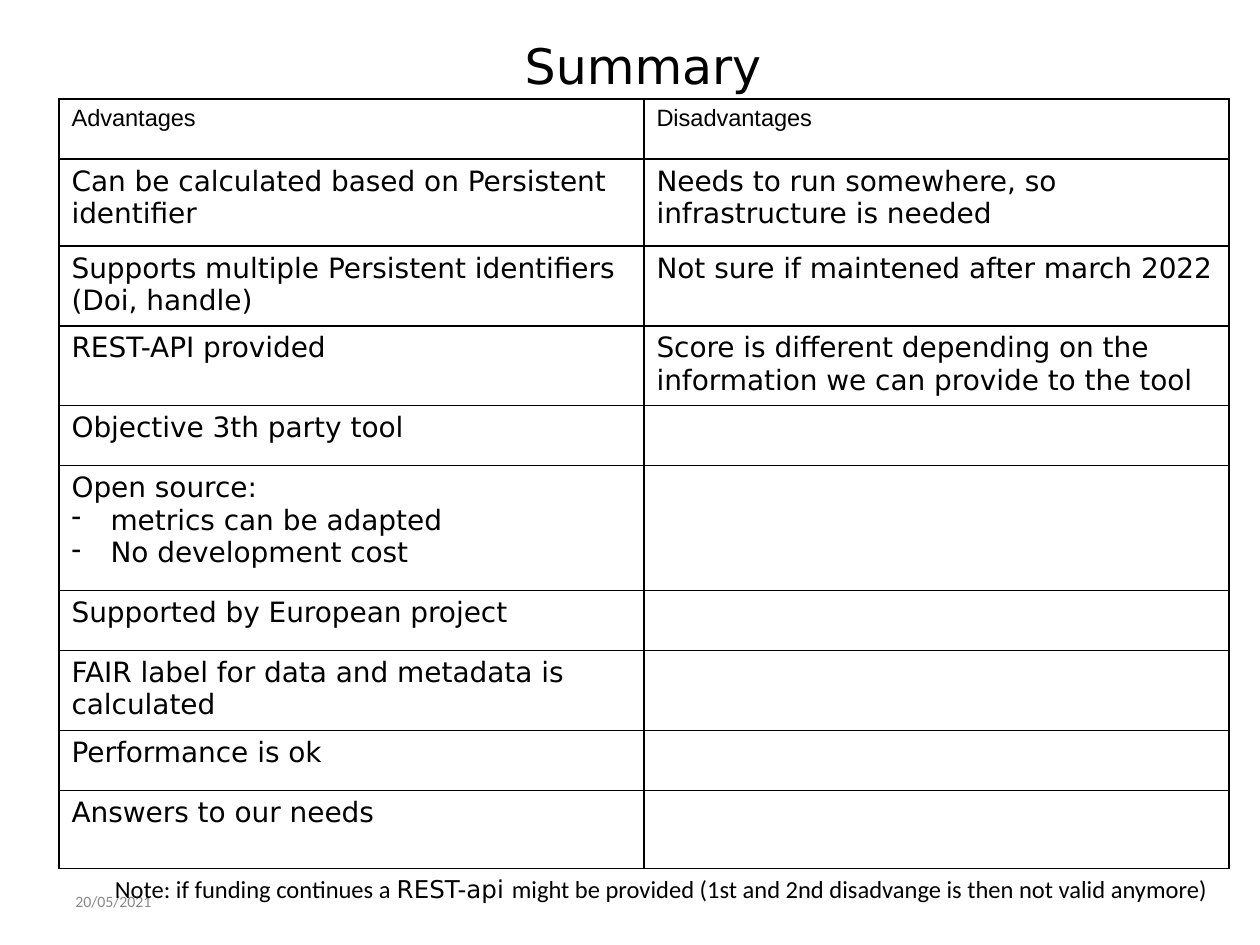
from lxml.etree import SubElement
from pptx import Presentation
from pptx.dml.color import RGBColor
from pptx.enum.text import MSO_ANCHOR as Anchor, PP_ALIGN as Align
from pptx.oxml.ns import qn
from pptx.util import Pt

PX = 914400 / 126
BLACK = RGBColor(0x00, 0x00, 0x00)
GREY = RGBColor(0x89, 0x89, 0x89)
SANS = "DejaVu Sans"


def px(length):
    return round(length * PX)


def add_span(para, text, font, size, color=BLACK):
    span = para.add_run()
    span.text = text
    span.font.color.rgb = color
    for name, value in {"name": font, "size": Pt(size)}.items():
        setattr(span.font, name, value)


deck = Presentation()
deck.slide_width, deck.slide_height = px(1260), px(945)
page = deck.slides.add_slide(deck.slide_layouts[6])

# Title, date and footnote
NOTE = [
    ("Note: if funding continues a ", "Calibri", 14),
    ("REST-api ", SANS, 14),
    ("might be provided (1st and 2nd disadvange is then not valid anymore)", "Calibri", 14),
]
MIDDLE = {"word_wrap": True, "vertical_anchor": Anchor.MIDDLE}
FLUSH = {"word_wrap": True, "margin_left": 0, "margin_right": 0, "margin_top": 0}
TEXTS = [
    ((89, 38, 1108, 54), MIDDLE, {"alignment": Align.CENTER}, [("Summary", SANS, 28)]),
    ((63, 876, 294, 50), MIDDLE, {}, [("20/05/2021", "Calibri", 9, GREY)]),
    ((115, 877, 1145, 26), FLUSH, {"line_spacing": 0.9}, NOTE),
]
for place, frame_format, para_format, spans in TEXTS:
    frame = page.shapes.add_textbox(*map(px, place)).text_frame
    para = frame.paragraphs[0]
    for target, values in ((frame, frame_format), (para, para_format)):
        for name, value in values.items():
            setattr(target, name, value)
    for span_values in spans:
        add_span(para, *span_values)

# Table: row height, advantages, disadvantages; a leading "-" makes a bullet
ROWS = [
    (60, ["Advantages"], ["Disadvantages"]),
    (87, ["Can be calculated based on Persistent identifier"],
     ["Needs to run somewhere, so infrastructure is needed"]),
    (77, ["Supports multiple Persistent identifiers (Doi, handle)"],
     ["Not sure if maintened after march 2022"]),
    (77, ["REST-API provided"],
     ["Score is different depending on the information we can provide to the tool"]),
    (60, ["Objective 3th party tool"], []),
    (125, ["Open source:", "-metrics can be adapted", "-No development cost"], []),
    (60, ["Supported by European project"], []),
    (77, ["FAIR label for data and metadata is calculated"], []),
    (60, ["Performance is ok"], []),
    (78, ["Answers to our needs"], []),
]
height = sum(row[0] for row in ROWS)
table = page.shapes.add_table(len(ROWS), 2, px(59), px(99), px(1170), px(height)).table
table.first_row = table.horz_banding = False
for column in table.columns:
    column.width = px(585)

for row_index, (row_height, *columns) in enumerate(ROWS):
    table.rows[row_index].height = px(row_height)
    font, size = ("Arial", 13.5) if row_index == 0 else (SANS, 16)
    for column_index, lines in enumerate(columns):
        cell = table.cell(row_index, column_index)

        # Cell text
        for line_index, line in enumerate(lines):
            frame = cell.text_frame
            para = frame.add_paragraph() if line_index else frame.paragraphs[0]
            if line.startswith("-"):
                properties = para._p.get_or_add_pPr()
                properties.set("marL", str(px(39)))
                properties.set("indent", str(-px(39)))
                SubElement(properties, qn("a:buChar"), char="-")
            add_span(para, line.removeprefix("-"), font, size)

        # Thin black borders, no fill
        cell_properties = cell._tc.get_or_add_tcPr()
        for side in ("lnL", "lnR", "lnT", "lnB"):
            border = SubElement(cell_properties, qn(f"a:{side}"), w=str(Pt(1)))
            fill = SubElement(border, qn("a:solidFill"))
            SubElement(fill, qn("a:srgbClr"), val=str(BLACK))
        cell.fill.background()

deck.save("out.pptx")
